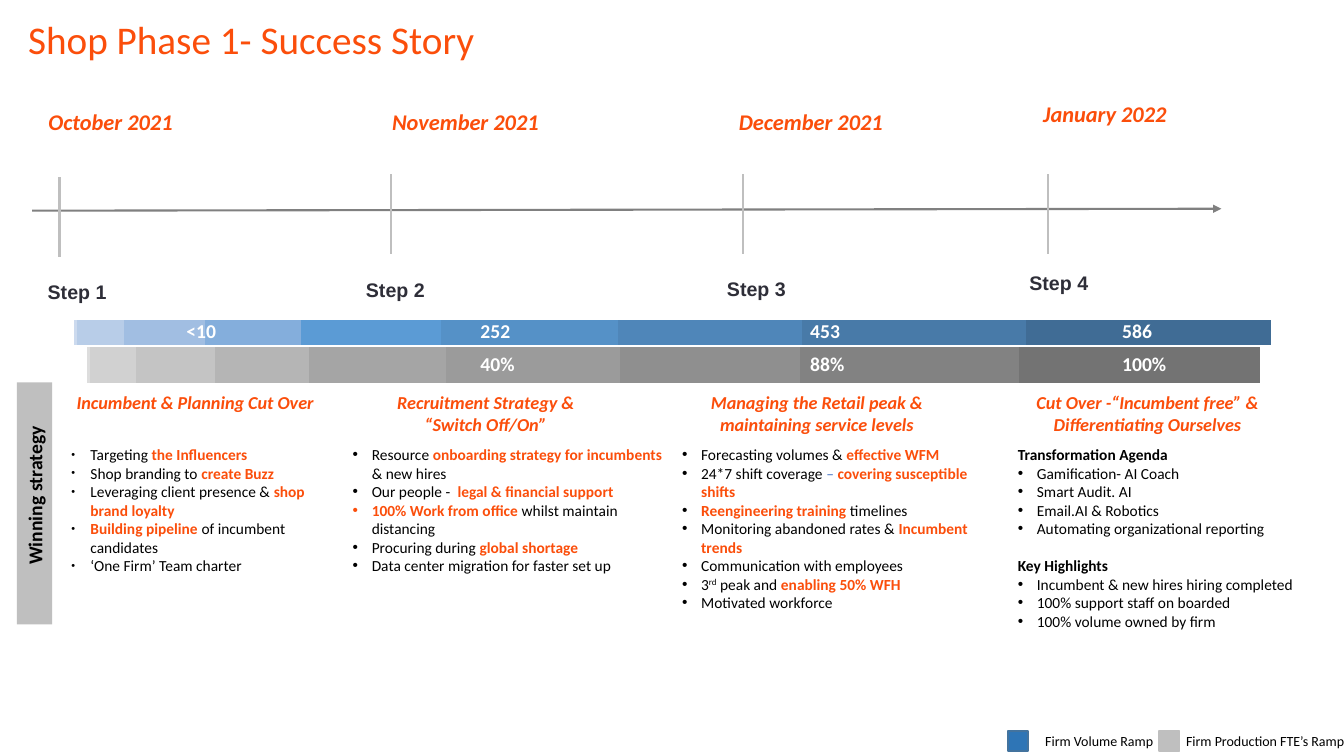
from collections import namedtuple
from dataclasses import dataclass

from lxml.etree import SubElement
from pptx import Presentation
from pptx.chart.data import CategoryChartData
from pptx.dml.color import RGBColor
from pptx.enum.chart import XL_CHART_TYPE
from pptx.enum.shapes import MSO_CONNECTOR, MSO_SHAPE
from pptx.enum.text import MSO_ANCHOR, PP_ALIGN
from pptx.oxml import parse_xml
from pptx.oxml.ns import nsdecls, qn
from pptx.util import Cm, Pt


class Theme:
    font, step_font = "Calibri", "Arial"
    accent, black, white, ink = "FB4E0B", "000000", "FFFFFF", "2E2E38"
    dash, axis, grey = "4472C4", "808080", "BFBFBF"
    legend_fill, legend_line = "2E75B6", "43739E"
    volume = "CCDAEE B8CDE8 A1BEE2 84AEDC 5B9BD5 5591C7 4F86B9 487AA8 406C95".split()
    staff = "DDDDDD D1D1D1 C4C4C4 B5B5B5 A5A5A5 9B9B9B 8F8F8F 828282 737373".split()
    title, month, label, heading, body, small = 28, 16, 14, 13, 11, 10


# Boxes are left, top, width, height in centimetres
Box = namedtuple("Box", "left top width height")
Phase = namedtuple("Phase", "name step month_at tick_at step_at figures_at volume share "
                            "heading heading_at heading_width align bullet items")


@dataclass
class Run:
    text: str
    color: str = Theme.black
    bold: bool = False
    italic: bool = False
    size: float = Theme.body
    font: str = Theme.font
    raised: bool = False


def accent(text):
    return Run(text, Theme.accent, True)


def lengths(box):
    return [Cm(value) for value in box]


def add_runs(paragraph, runs):
    for item in runs:
        style = item if isinstance(item, Run) else Run(item)
        run = paragraph.add_run()
        run.text = style.text
        run.font.name, run.font.size = style.font, Pt(style.size)
        run.font.bold, run.font.italic = style.bold, style.italic
        run.font.color.rgb = RGBColor.from_string(style.color)
        if style.raised:
            run.font._element.set("baseline", "30000")


def set_margins(frame, left=0, top=0, right=0, bottom=0):
    frame.margin_left, frame.margin_top = Cm(left), Cm(top)
    frame.margin_right, frame.margin_bottom = Cm(right), Cm(bottom)


def add_text(slide, box, run, align=PP_ALIGN.LEFT, anchor=MSO_ANCHOR.TOP, margins=None):
    frame = slide.shapes.add_textbox(*lengths(box)).text_frame
    frame.word_wrap, frame.vertical_anchor = True, anchor
    if margins is not None:
        set_margins(frame, *margins)
    paragraph = frame.paragraphs[0]
    paragraph.alignment = align
    add_runs(paragraph, [run])
    return paragraph


def add_rectangle(slide, box, fill, line=None):
    shape = slide.shapes.add_shape(MSO_SHAPE.RECTANGLE, *lengths(box))
    shape.shadow.inherit = False
    shape.fill.solid()
    shape.fill.fore_color.rgb = RGBColor.from_string(fill)
    if line:
        shape.line.color.rgb = RGBColor.from_string(line)
        shape.line.width = Pt(1)
    else:
        shape.line.fill.background()
    return shape


def add_line(slide, x1, y1, x2, y2, color, arrow=False):
    line = slide.shapes.add_connector(MSO_CONNECTOR.STRAIGHT, Cm(x1), Cm(y1), Cm(x2), Cm(y2))
    line.line.color.rgb = RGBColor.from_string(color)
    line.line.width = Pt(1.5)
    if arrow:
        SubElement(line.line._get_or_add_ln(), qn("a:tailEnd"), type="triangle")
    SubElement(line._element.spPr, qn("a:effectLst"))


def draw_ramp(slide, box, colors, plot):
    data = CategoryChartData()
    data.categories = ["1"]
    for number, value in enumerate([1, 19, 33, 39, 57, 72, 75, 91, 100], 1):
        data.add_series(f"Series {number}", [value])
    chart = slide.shapes.add_chart(XL_CHART_TYPE.BAR_STACKED, *lengths(box), data).chart
    chart.has_legend = chart.has_title = False
    chart.font.name, chart.font.size = Theme.font, Pt(Theme.small)
    chart.font.color.rgb = RGBColor.from_string(Theme.black)
    chart.category_axis.visible = chart.value_axis.visible = False
    chart.value_axis.has_major_gridlines = False
    chart.value_axis.minimum_scale, chart.value_axis.maximum_scale = 0, 518
    bars = chart.plots[0]
    bars.gap_width, bars.overlap, bars.vary_by_categories = 150, 100, False
    for series, color in zip(bars.series, colors):
        series.format.fill.solid()
        series.format.fill.fore_color.rgb = RGBColor.from_string(color)
    # Fixed plot area on a transparent background
    area = chart.element.find(".//" + qn("c:plotArea"))
    for layout in area.findall(qn("c:layout")):
        area.remove(layout)
    sizes = "".join(f'<c:{tag} val="{value}"/>' for tag, value in zip("xywh", plot))
    area.insert(0, parse_xml(
        f'<c:layout {nsdecls("c")}><c:manualLayout><c:layoutTarget val="inner"/>'
        f'<c:xMode val="edge"/><c:yMode val="edge"/>{sizes}</c:manualLayout></c:layout>'))
    chart.element.find(qn("c:chart")).addnext(parse_xml(
        f'<c:spPr {nsdecls("c", "a")}><a:noFill/><a:ln><a:noFill/></a:ln></c:spPr>'))


def add_bullet(paragraph, color, size):
    properties = paragraph._p.get_or_add_pPr()
    properties.set("marL", str(Cm(0.48)))
    properties.set("indent", str(Cm(-0.48)))
    if color:
        SubElement(SubElement(properties, qn("a:buClr")), qn("a:srgbClr"), val=color)
    if size:
        SubElement(properties, qn("a:buSzPct"), val=str(size * 1000))
    SubElement(properties, qn("a:buFont"), typeface="Arial")
    SubElement(properties, qn("a:buChar"), char="•")


def draw_phase(slide, box, phase):
    left, top = box.left, box.top
    # Activities; a plain string is a subheading
    frame = add_rectangle(slide, Box(left, top + 8.43, box.width, 4.88), Theme.white).text_frame
    frame.word_wrap, frame.vertical_anchor = True, MSO_ANCHOR.TOP
    set_margins(frame, 0.1, 0.2)
    for index, item in enumerate(phase.items):
        paragraph = frame.add_paragraph() if index else frame.paragraphs[0]
        paragraph.alignment = PP_ALIGN.LEFT
        if isinstance(item, str):
            paragraph.space_before = Pt(13.4 if index else 0)
            add_runs(paragraph, [Run(item, bold=True)])
        else:
            add_bullet(paragraph, *phase.bullet)
            add_runs(paragraph, item)
    # Month, tick and step
    dx, dy = phase.month_at
    month = add_text(slide, Box(left + dx, top + dy, 4.52, 0.64),
                     Run(phase.name, Theme.accent, True, True, Theme.month), margins=(0, 0.05))
    month.line_spacing, month.space_after = 0.85, Pt(3.6)
    dx, dy = phase.tick_at
    add_line(slide, left + dx, top + dy, left + dx, top + dy + 2.01, Theme.grey)
    dx, dy = phase.step_at
    add_text(slide, Box(left + dx, top + dy, 2.97, 1.73),
             Run(phase.step, Theme.ink, True, size=Theme.label, font=Theme.step_font),
             PP_ALIGN.CENTER, MSO_ANCHOR.MIDDLE, margins=(0,))
    # Ramp figures
    for dy, figure in ((5.31, phase.volume), (6.15, phase.share)):
        if figure:
            add_text(slide, Box(left + phase.figures_at, top + dy, 2, 0.86),
                     Run(figure, Theme.white, True, size=Theme.label))
    add_text(slide, Box(left + phase.heading_at, top + 7.14, phase.heading_width, 1.37),
             Run(phase.heading, Theme.accent, True, True, Theme.heading), phase.align)


def draw_strategy_tab(slide, box):
    shape = add_rectangle(slide, box, Theme.grey)
    shape.rotation = 270
    frame = shape.text_frame
    frame.vertical_anchor = MSO_ANCHOR.MIDDLE
    set_margins(frame, 0.4)
    frame.paragraphs[0].alignment = PP_ALIGN.CENTER
    add_runs(frame.paragraphs[0], [Run("Winning strategy", bold=True, size=Theme.label)])


def draw_legend(slide, box):
    entries = [(0, 0.69, 3.56, "Firm Volume Ramp", Theme.legend_fill, Theme.legend_line),
               (3.81, 4.24, 5.1, "Firm Production FTE’s Ramp", Theme.grey, Theme.grey)]
    for key_x, text_x, width, text, fill, line in entries:
        add_rectangle(slide, Box(box.left + key_x, box.top, box.height, box.height), fill, line)
        add_text(slide, Box(box.left + text_x, box.top - 0.08, width, 0.69),
                 Run(text, size=Theme.small))


PHASES = [
    (Box(1.7, 2.59, 6.73, 13.31), Phase(
        "October 2021", "Step 1", (-0.48, 0.18), (-0.2, 1.88), (-1.24, 3.89), 2.75, "<10", None,
        "Incumbent & Planning Cut Over", -0.02, 7.09, PP_ALIGN.LEFT, (Theme.black, 70),
        [["Targeting ", accent("the Influencers")],
         ["Shop branding to ", accent("create Buzz")],
         ["Leveraging client presence & ", accent("shop brand loyalty")],
         [accent("Building pipeline "), "of incumbent candidates"],
         ["‘One Firm’ Team charter"]])),
    (Box(8.79, 2.59, 8, 13.31), Phase(
        "November 2021", "Step 2", (1.09, 0.18), (1.07, 1.8), (-0.31, 3.84), 3.07, "252", "40%",
        "Recruitment Strategy & “Switch Off/On”", 0.3, 6.3, PP_ALIGN.CENTER, (None, None),
        [["Resource ", accent("onboarding strategy for incumbents "), "& new hires"],
         ["Our people -  ", accent("legal & financial support")],
         [accent("100% Work from office "), "whilst maintain distancing"],
         ["Procuring during ", accent("global shortage")],
         ["Data center migration for faster set up"]])),
    (Box(17.09, 2.59, 8.08, 13.31), Phase(
        "December 2021", "Step 3", (1.53, 0.18), (1.63, 1.8), (0.49, 3.81), 3.08, "453", "88%",
        "Managing the Retail peak & maintaining service levels", -0.58, 8.15, PP_ALIGN.CENTER,
        (Theme.black, None),
        [["Forecasting volumes & ", accent("effective WFM")],
         ["24*7 shift coverage ", Run("– ", Theme.dash), accent("covering susceptible shifts")],
         [accent("Reengineering training "), "timelines"],
         ["Monitoring abandoned rates & ", accent("Incumbent trends")],
         ["Communication with employees"],
         ["3", Run("rd", raised=True), " peak and ", accent("enabling 50% WFH")],
         ["Motivated workforce"]])),
    (Box(25.55, 2.59, 8.08, 13.31), Phase(
        "January 2022", "Step 4", (0.74, 0), (0.87, 1.8), (-0.35, 3.68), 2.48, "586", "100%",
        "Cut Over -“Incumbent free” & Differentiating Ourselves", -0.71, 8.15, PP_ALIGN.CENTER,
        (None, None),
        ["Transformation Agenda", ["Gamification- AI Coach"], ["Smart Audit. AI"],
         ["Email.AI & Robotics"], ["Automating organizational reporting"],
         "Key Highlights", ["Incumbent & new hires hiring completed"],
         ["100% support staff on boarded"], ["100% volume owned by firm"]])),
]


def main():
    presentation = Presentation()
    presentation.slide_width, presentation.slide_height = Cm(33.87), Cm(19.05)
    slide = presentation.slides.add_slide(presentation.slide_layouts[6])
    add_text(slide, Box(0.46, -0.03, 33.4, 2),
             Run("Shop Phase 1- Success Story", Theme.accent, size=Theme.title),
             anchor=MSO_ANCHOR.MIDDLE)
    draw_ramp(slide, Box(1.55, 7.19, 32.74, 3), Theme.volume, (0.01, 0.13, 0.98, 0.53))
    draw_ramp(slide, Box(1.55, 8, 32.74, 2.41), Theme.staff, (0.02, 0.03, 0.96, 0.94))
    add_line(slide, 0.81, 5.31, 30.78, 5.26, Theme.axis, arrow=True)
    for box, phase in PHASES:
        draw_phase(slide, box, phase)
    draw_strategy_tab(slide, Box(-2.18, 12.24, 6.1, 0.89))
    draw_legend(slide, Box(25.4, 18.42, 8.4, 0.51))
    presentation.save("out.pptx")


if __name__ == "__main__":
    main()
